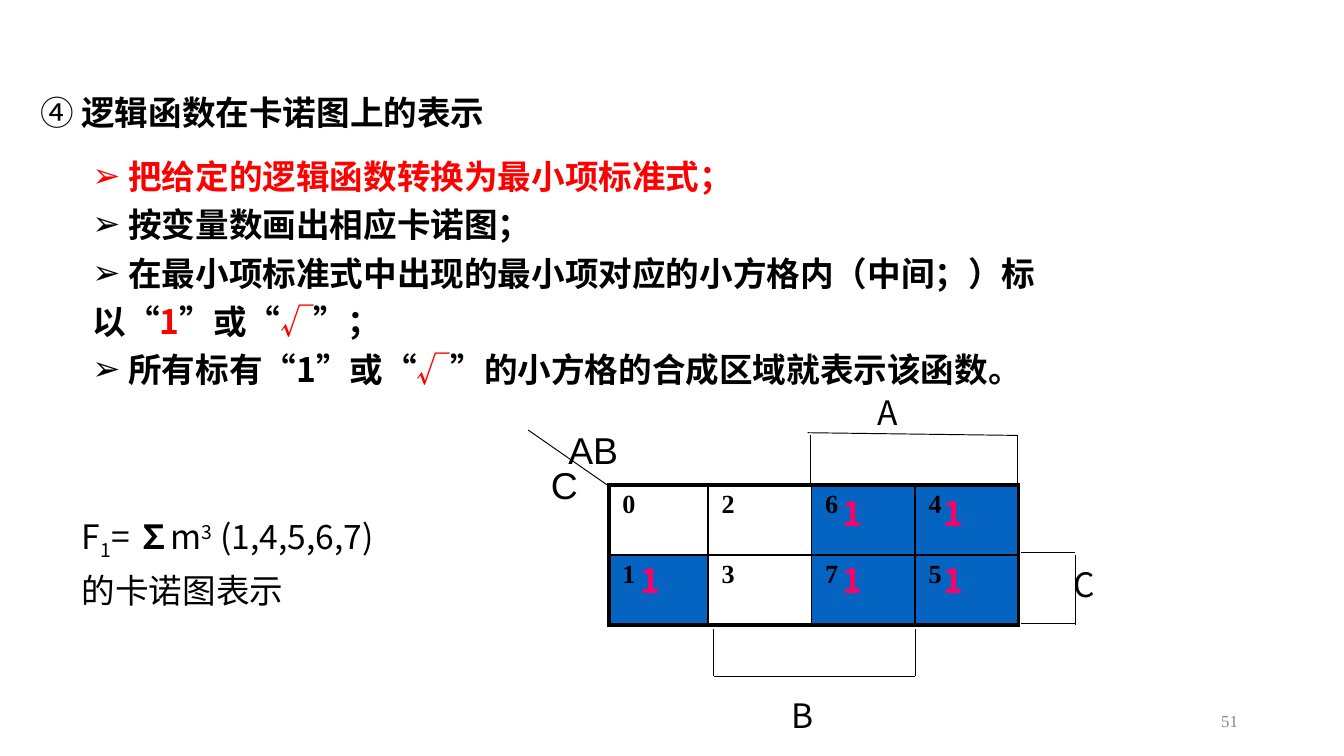
from lxml import etree
from pptx import Presentation
from pptx.dml.color import RGBColor
from pptx.enum.shapes import MSO_CONNECTOR
from pptx.enum.text import MSO_ANCHOR, PP_ALIGN
from pptx.oxml.ns import qn
from pptx.util import Inches, Pt

STRAIGHT = MSO_CONNECTOR.STRAIGHT
TOP, MIDDLE = MSO_ANCHOR.TOP, MSO_ANCHOR.MIDDLE
LEFT, RIGHT = PP_ALIGN.LEFT, PP_ALIGN.RIGHT
SC, JP = "Noto Sans CJK SC", "Noto Sans CJK JP"
ARIAL, TIMES = "Arial", "Times New Roman"
BLACK, RED, PINK, GREY = "000000", "FF0000", "FF0066", "898989"
WHITE, BLUE = "FFFFFF", "0563C1"
BREAK = "\n"

# A paragraph is a list of spans: (text, format that differs from the box)
TITLE = [("④", {}), (" 逻辑函数在卡诺图上的表示", {"bold": True})]

ROOT = ("√", {"font": ARIAL, "color": RED, "bold": False})
OPEN, OR = ("“", {"font": SC}), ("”或“", {"font": SC})
STEPS = [
    [(" 把给定的逻辑函数转换为最小项标准式；", {"color": RED})],
    [(" 按变量数画出相应卡诺图；", {})],
    [(" 在最小项标准式中出现的最小项对应的小方格内（中间；）标以", {}), OPEN,
     ("1", {"color": RED}), OR, ROOT, ("”；", {"font": SC})],
    [(" 所有标有", {}), OPEN, ("1", {}), OR, ROOT, ("”", {"font": SC}),
     ("的小方格的合成区域就表示该函数。", {})],
]
FUNCTION = [
    ("F", {}), ("1", {"baseline": -25}), ("= ", {}), ("∑", {"bold": True}), ("m", {}),
    ("3", {"baseline": 30}), (" (1,4,5,6,7)", {}), (BREAK, {}), ("的卡诺图表示", {}),
]

# Karnaugh map: minterm numbers, and those belonging to the function
MINTERMS = [[0, 2, 6, 4], [1, 3, 7, 5]]
MEMBERS = {1, 4, 5, 6, 7}
MAP_LEFT, MAP_TOP, ROW_HEIGHT = 4.53, 3.61, 0.52
COLUMN_WIDTHS = [0.74, 0.77, 0.77, 0.77]
THIN, THICK = 1, 2.25
MARK_LEFTS = [4.67, 5.42, 6.17, 6.92]
MARK_TOPS = [3.62, 4.12]

LINES = [
    (6.03, 3.24, 6.03, 3.62), (6.01, 3.22, 7.57, 3.24), (7.57, 3.24, 7.57, 3.62),  # A
    (5.31, 4.68, 5.31, 5.03), (5.31, 5.03, 6.81, 5.03), (6.81, 4.68, 6.81, 5.03),  # B
    (7.6, 4.11, 8, 4.11), (8, 4.13, 8, 4.65), (7.6, 4.64, 8, 4.64),  # C
    (4.52, 3.61, 3.93, 3.2),  # corner
]
SIDE_LABELS = [("A", 6.43, 2.87), ("B", 5.79, 5.12), ("C", 7.89, 4.15)]
CORNER_LABELS = [("AB", 4.13, 3.13, 0.59), ("C", 4, 3.39, 0.41)]


def rgb(value):
    return RGBColor.from_string(value)


def add_span(para, text, font=SC, size=18, color=BLACK, bold=False, baseline=0):
    if text == BREAK:
        para.add_line_break()
        return
    span = para.add_run()
    span.text = text
    span.font.name = font
    span.font.size = Pt(size)
    span.font.bold = bold
    span.font.color.rgb = rgb(color)
    properties = span.font._element
    etree.SubElement(properties, qn("a:ea"), typeface=SC if font == ARIAL else font)
    if baseline:
        properties.set("baseline", str(baseline * 1000))


def add_text(slide, paragraphs, left, top, width, height, right_inset=0.1,
             anchor=TOP, align=LEFT, spacing=1.0, bullet=None, **style):
    """Add a text box; paragraphs is a string or a list of span lists."""
    box = slide.shapes.add_textbox(Inches(left), Inches(top), Inches(width), Inches(height))
    frame = box.text_frame
    frame.word_wrap = True
    frame.vertical_anchor = anchor
    frame.margin_right = Inches(right_inset)
    if isinstance(paragraphs, str):
        paragraphs = [[(paragraphs, {})]]
    for index, spans in enumerate(paragraphs):
        para = frame.add_paragraph() if index else frame.paragraphs[0]
        para.alignment = align
        para.line_spacing = spacing
        if bullet:
            properties = para._p.get_or_add_pPr()
            etree.SubElement(properties, qn("a:buFont"), typeface=ARIAL)
            etree.SubElement(properties, qn("a:buChar"), char=bullet)
        for text, changes in spans:
            add_span(para, text, **{**style, **changes})


def add_line(slide, x1, y1, x2, y2):
    line = slide.shapes.add_connector(STRAIGHT, *map(Inches, (x1, y1, x2, y2)))
    line.line.color.rgb = rgb(BLACK)
    line.line.width = Pt(0.5)
    etree.SubElement(line._element.spPr, qn("a:effectLst"))


def set_borders(cell, widths):
    """Put borders before the fill, as the cell schema requires."""
    properties = cell._tc.get_or_add_tcPr()
    for index, (side, width) in enumerate(widths.items()):
        border = etree.Element(qn(f"a:{side}"), w=str(Pt(width)))
        fill = etree.SubElement(border, qn("a:solidFill"))
        etree.SubElement(fill, qn("a:srgbClr"), val=BLACK)
        properties.insert(index, border)


def add_map(slide):
    rows, columns = len(MINTERMS), len(COLUMN_WIDTHS)
    frame = slide.shapes.add_table(
        rows, columns, Inches(MAP_LEFT), Inches(MAP_TOP),
        Inches(sum(COLUMN_WIDTHS)), Inches(rows * ROW_HEIGHT))
    table = frame.table
    table.first_row = table.horz_banding = False
    for column, width in zip(table.columns, COLUMN_WIDTHS):
        column.width = Inches(width)
    for r, minterms in enumerate(MINTERMS):
        table.rows[r].height = Inches(ROW_HEIGHT)
        for c, minterm in enumerate(minterms):
            cell = table.cell(r, c)
            cell.margin_left = cell.margin_right = Inches(0.1)
            cell.margin_top = cell.margin_bottom = Inches(0.04)
            cell.fill.solid()
            cell.fill.fore_color.rgb = rgb(BLUE if minterm in MEMBERS else WHITE)
            add_span(cell.text_frame.paragraphs[0], str(minterm),
                     font=TIMES, size=14, bold=True)
            outer = {"lnL": c == 0, "lnR": c == columns - 1,
                     "lnT": r == 0, "lnB": r == rows - 1}
            set_borders(cell, {side: THICK if edge else THIN for side, edge in outer.items()})


def add_marks(slide):
    for top, minterms in zip(MARK_TOPS, MINTERMS):
        for left, minterm in zip(MARK_LEFTS, minterms):
            if minterm in MEMBERS:
                add_text(slide, "1", left, top, 0.58, 0.4, color=PINK, bold=True)


def main():
    deck = Presentation()
    deck.slide_width = Inches(10)
    deck.slide_height = deck.slide_width * 9 // 16
    slide = deck.slides.add_slide(deck.slide_layouts[6])

    add_text(slide, "51", 7.06, 5.21, 2.25, 0.3, anchor=MIDDLE, align=RIGHT,
             font=TIMES, size=9, color=GREY)
    add_text(slide, [TITLE], 0.2, 0.67, 8.5, 0.49, spacing=0.9)
    add_text(slide, STEPS, 0.59, 1.05, 9.03, 1.64, right_inset=1.82, spacing=1.2,
             bullet="➢", font=JP, bold=True)
    add_text(slide, [FUNCTION], 0.51, 3.66, 3.17, 0.99, anchor=MIDDLE, spacing=1.2)
    add_map(slide)
    add_marks(slide)
    for ends in LINES:
        add_line(slide, *ends)
    for name, left, top in SIDE_LABELS:
        add_text(slide, name, left, top, 0.55, 0.4)
    for name, left, top, width in CORNER_LABELS:
        add_text(slide, name, left, top, width, 0.43, font=ARIAL, size=20)
    deck.save("out.pptx")


if __name__ == "__main__":
    main()
